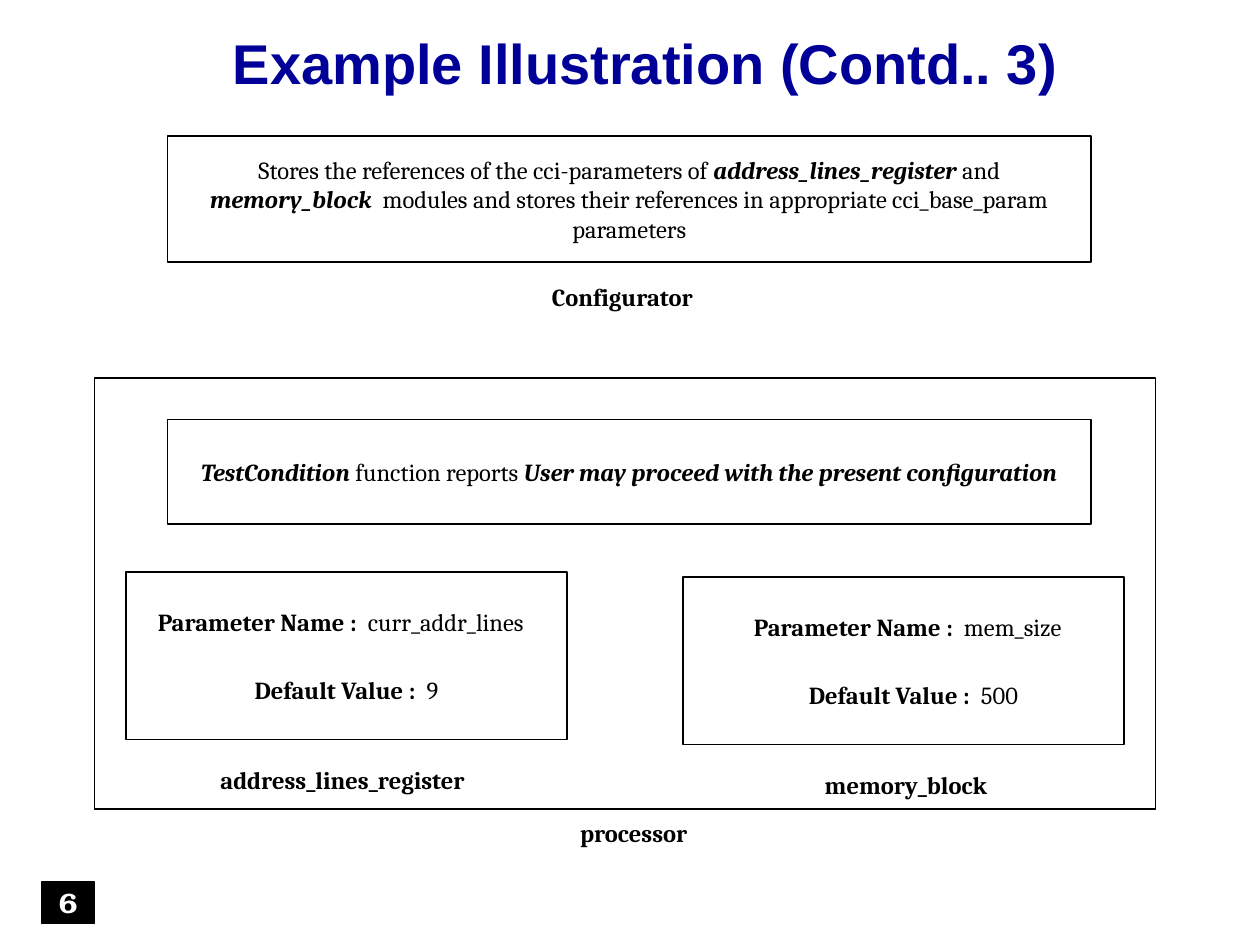
from pptx import Presentation
from pptx.dml.color import RGBColor
from pptx.enum.shapes import MSO_SHAPE
from pptx.enum.text import MSO_ANCHOR, PP_ALIGN
from pptx.util import Inches, Pt

ROUNDED, RECT = MSO_SHAPE.ROUNDED_RECTANGLE, MSO_SHAPE.RECTANGLE
CENTER, MIDDLE = PP_ALIGN.CENTER, MSO_ANCHOR.MIDDLE
COLORS = {"title": "000099", "ink": "000000", "paper": "FFFFFF"}

# Content: each text is a list of (words, style) runs
TITLE = "Example Illustration (Contd.. 3)"
PAGE_NUMBER = "6"
PLAIN, BOLD = {}, {"bold": True}
EMPHASIS = {"bold": True, "italic": True}
CONFIGURATOR = [
    ("Stores the references of the cci-parameters of ", PLAIN),
    ("address_lines_register", EMPHASIS),
    (" and ", PLAIN),
    ("memory_block", EMPHASIS),
    ("  modules and stores their references in appropriate "
     "cci_base_param parameters", PLAIN),
]
TEST_CONDITION = [
    ("TestCondition", EMPHASIS),
    (" function reports ", PLAIN),
    ("User may proceed with the present configuration", EMPHASIS),
]
# Module corner, shift of its parameter lines, shift of its label
MODULES = [
    {"name": "address_lines_register", "parameter": "curr_addr_lines",
     "default": "9", "corner": (1, 4.54), "indent": 0, "label": 0.36},
    {"name": "memory_block", "parameter": "mem_size",
     "default": "500", "corner": (5.42, 4.58), "indent": 0.08, "label": 0.41},
]

# Layout in inches
MODULE_SIZE = (3.5, 1.33)
LABEL_SIZE = (2.72, 0.29)
PARAMETER_SIZE, DEFAULT_SIZE = (3.25, 0.29), (2, 0.29)
WIDE_LEFT, WIDE_WIDTH = 1.33, 7.33


def rgb(name):
    return RGBColor.from_string(COLORS[name])


def write(shape, runs, font="Cambria", points=14, color="ink"):
    frame = shape.text_frame
    frame.vertical_anchor = MIDDLE
    paragraph = frame.paragraphs[0]
    paragraph.alignment = CENTER
    for words, style in runs:
        run = paragraph.add_run()
        run.text = words
        run.font.color.rgb = rgb(color)
        look = {"name": font, "size": Pt(points), "bold": False,
                "italic": False}
        for key, value in {**look, **style}.items():
            setattr(run.font, key, value)


def add_box(slide, corner, size, runs=(), outlined=True, fill="paper",
            kind=ROUNDED, **text_format):
    box = slide.shapes.add_shape(kind, *map(Inches, (*corner, *size)))
    if kind == ROUNDED:
        box.adjustments[0] = 0.0
    box.shadow.inherit = False
    box.fill.solid()
    box.fill.fore_color.rgb = rgb(fill)
    if outlined:
        box.line.color.rgb = rgb("ink")
        box.line.width = Pt(0.75)
    else:
        box.line.fill.background()
    if runs:
        write(box, runs, **text_format)
    return box


def add_label(slide, corner, size, name, value=""):
    runs = [(name, BOLD)]
    if value:
        runs.append(("  " + value, PLAIN))
    add_box(slide, corner, size, runs, outlined=False)


def add_module(slide, module):
    left, top = module["corner"]
    inner = left + module["indent"]
    add_label(slide, (left + module["label"], top + 1.5), LABEL_SIZE,
              module["name"])
    add_box(slide, (left, top), MODULE_SIZE)
    add_label(slide, (inner + 0.08, top + 0.25), PARAMETER_SIZE,
              "Parameter Name :", module["parameter"])
    add_label(slide, (inner + 0.75, top + 0.79), DEFAULT_SIZE,
              "Default Value :", module["default"])


def main():
    deck = Presentation()
    deck.slide_width, deck.slide_height = Inches(10), Inches(7.5)
    slide = deck.slides.add_slide(deck.slide_layouts[5])

    # Title
    title = slide.shapes.title
    place = {"left": 1.33, "top": 0.24, "width": 7.59, "height": 0.59}
    for key, value in place.items():
        setattr(title, key, Inches(value))
    write(title, [(TITLE, BOLD)], "Arial", 32, "title")
    title.text_frame.paragraphs[0].line_spacing = 0.85

    # Processor with its two modules
    add_box(slide, (0.75, 3), (8.42, 3.42))
    add_label(slide, (3.67, 6.5), (2.72, 0.21), "processor")
    for module in MODULES:
        add_module(slide, module)

    # Configurator, and the test condition inside the processor
    add_box(slide, (WIDE_LEFT, 1.08), (WIDE_WIDTH, 1), CONFIGURATOR)
    add_label(slide, (3.58, 2.21), LABEL_SIZE, "Configurator")
    add_box(slide, (WIDE_LEFT, 3.33), (WIDE_WIDTH, 0.83), TEST_CONDITION)

    # Page number
    number = add_box(slide, (0.33, 7), (0.42, 0.33), [(PAGE_NUMBER, BOLD)],
                     fill="ink", kind=RECT, font="TeX Gyre Bonum", points=16,
                     color="paper")
    number.text_frame.word_wrap = False

    deck.save("out.pptx")


if __name__ == "__main__":
    main()
